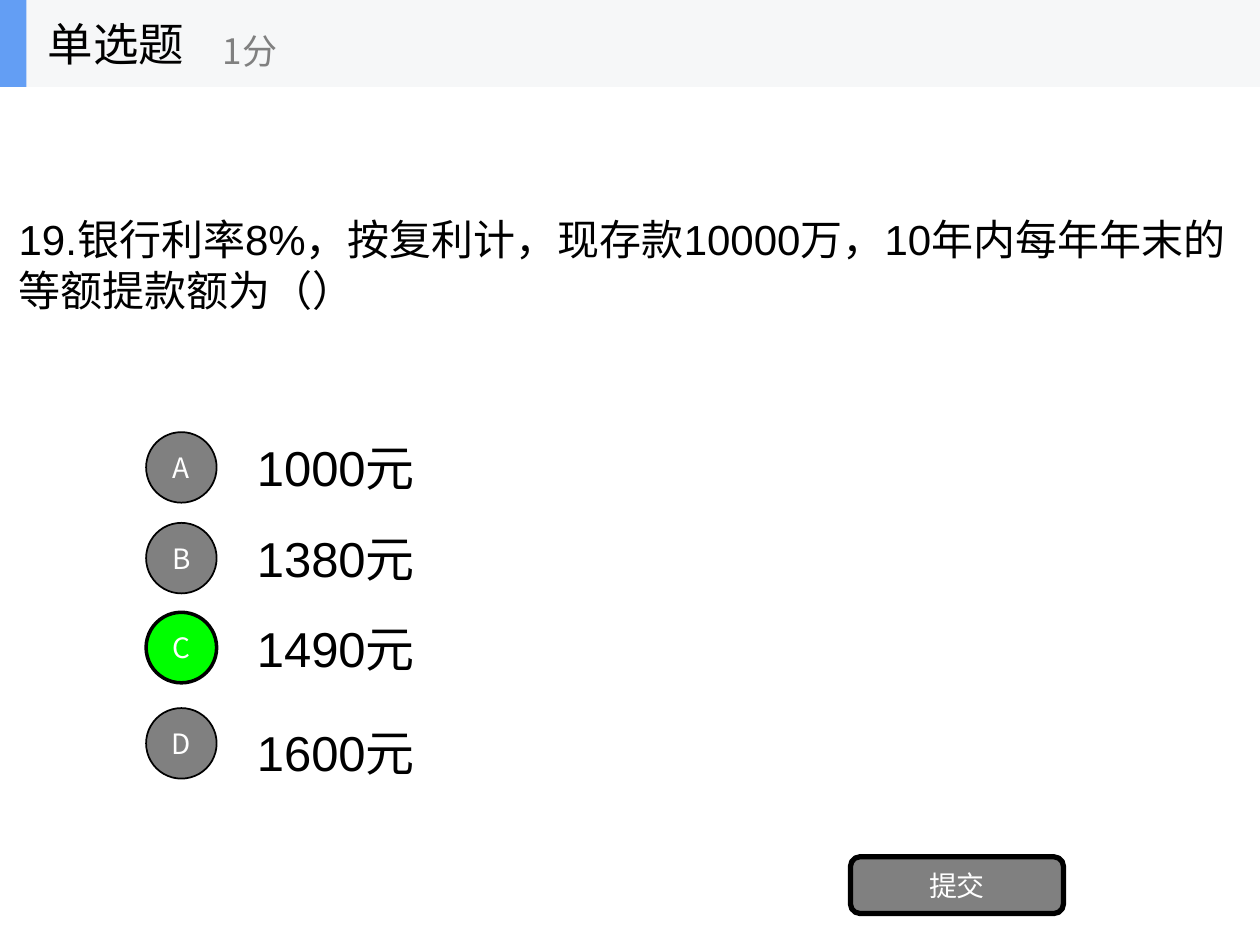
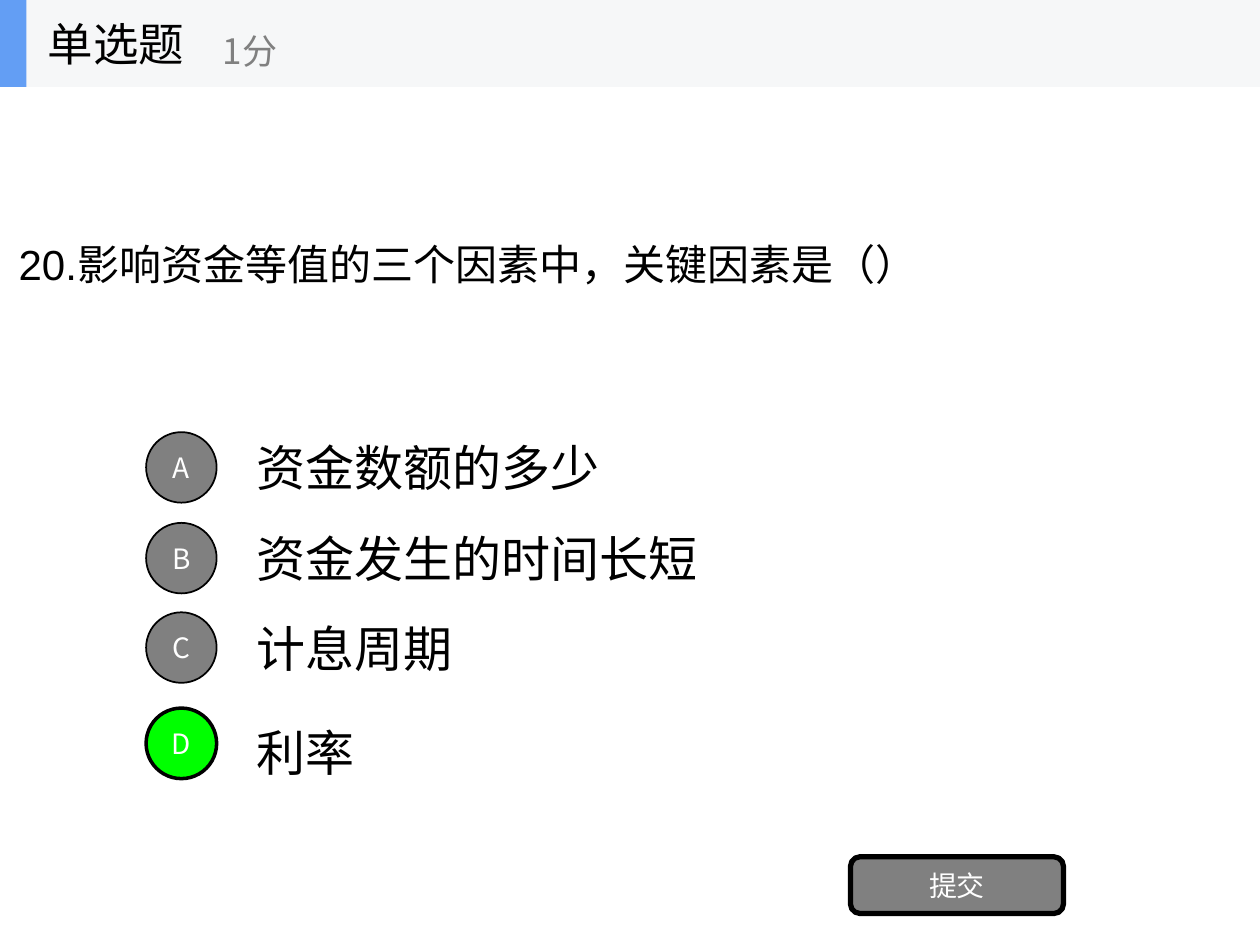
from lxml import etree
from pptx import Presentation
from pptx.dml.color import RGBColor
from pptx.enum.shapes import MSO_SHAPE
from pptx.enum.text import MSO_ANCHOR, PP_ALIGN
from pptx.oxml.ns import qn
from pptx.util import Inches, Pt

RECT, ROUND, OVAL = MSO_SHAPE.RECTANGLE, MSO_SHAPE.ROUNDED_RECTANGLE, MSO_SHAPE.OVAL
MIDDLE = MSO_ANCHOR.MIDDLE
LEFT, CENTER = PP_ALIGN.LEFT, PP_ALIGN.CENTER

BLACK = RGBColor(0x00, 0x00, 0x00)
WHITE = RGBColor(0xFF, 0xFF, 0xFF)
GRAY = RGBColor(0x80, 0x80, 0x80)
GREEN = RGBColor(0x00, 0xFF, 0x00)
BLUE = RGBColor(0x63, 0x9E, 0xF4)
PALE = RGBColor(0xF6, 0xF7, 0xF8)

LATIN, HAN = "Arial", "Noto Sans CJK SC"

# Tops of each option's letter disc and answer text
ROWS = [("A", 3.43, 3.36), ("B", 4.15, 4.08), ("C", 4.86, 4.79), ("D", 5.62, 5.62)]

QUIZ = [
    ("19.银行利率8%，按复利计，现存款10000万，10年内每年年末的等额提款额为（）",
     ["1000元", "1380元", "1490元", "1600元"], "C"),
    ("20.影响资金等值的三个因素中，关键因素是（）",
     ["资金数额的多少", "资金发生的时间长短", "计息周期", "利率"], "D"),
]


def write(parent, box, text, size, face, color=BLACK, shape=None, align=LEFT):
    """Put one line of text into shape, or into a new text box on parent."""
    if shape is None:
        shape = parent.add_textbox(*map(Inches, box))
    frame = shape.text_frame
    frame.word_wrap = True
    frame.vertical_anchor = MIDDLE
    para = frame.paragraphs[0]
    para.alignment = align
    run = para.add_run()
    run.text = text
    font = run.font
    font.size, font.name = Pt(size), face
    font.color.rgb = color
    etree.SubElement(font._element, qn("a:ea")).set("typeface", HAN)


def draw(parent, kind, box, fill, line=0, label=None):
    """Add a filled shape; line is its black outline in points."""
    shape = parent.add_shape(kind, *map(Inches, box))
    shape.shadow.inherit = False
    shape.fill.solid()
    shape.fill.fore_color.rgb = fill
    if line:
        shape.line.color.rgb = BLACK
        shape.line.width = Pt(line)
    else:
        shape.line.fill.background()
    if label:
        write(parent, box, label, 16, HAN, WHITE, shape, CENTER)


deck = Presentation()
deck.slide_width, deck.slide_height = Inches(10), Inches(7.5)

for question, answers, right in QUIZ:
    shapes = deck.slides.add_slide(deck.slide_layouts[6]).shapes
    write(shapes, (0.05, 1.22, 9.86, 1.75), question, 24, LATIN)

    for (_, _, top), answer in zip(ROWS, answers):
        write(shapes, (1.94, top, 7, 0.7), answer, 28, LATIN)

    for letter, top, _ in ROWS:
        fill, line = (GREEN, 2) if letter == right else (GRAY, 1)
        draw(shapes, OVAL, (1.16, top, 0.56, 0.56), fill, line, letter)

    draw(shapes, ROUND, (6.75, 6.8, 1.69, 0.45), GRAY, 3, "提交")

    header = shapes.add_group_shape().shapes
    draw(header, RECT, (0, 0, 10, 0.69), PALE)
    draw(header, RECT, (0, 0, 0.21, 0.69), BLUE)
    write(header, (0.28, 0, 2.08, 0.69), "单选题", 26, HAN)
    write(header, (1.67, 0.12, 2.5, 0.56), "1分", 20, HAN, GRAY)

deck.save("out.pptx")
